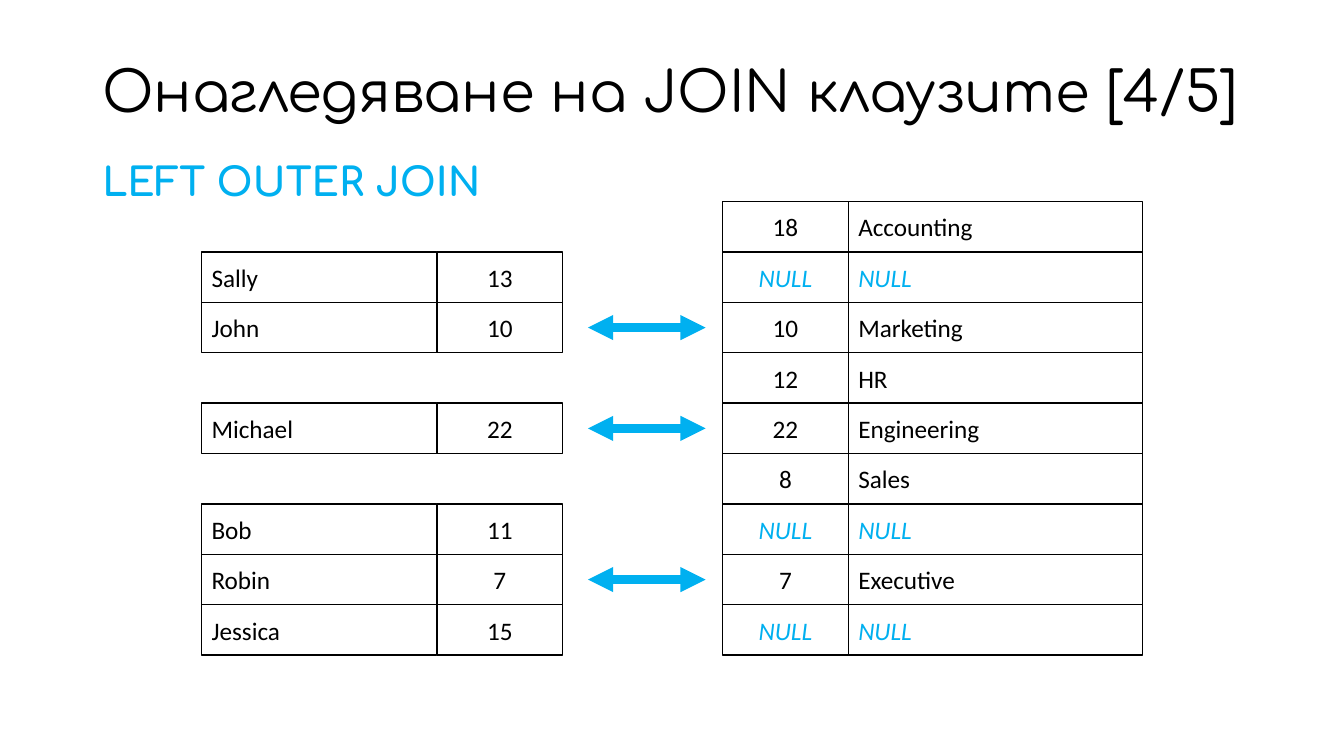
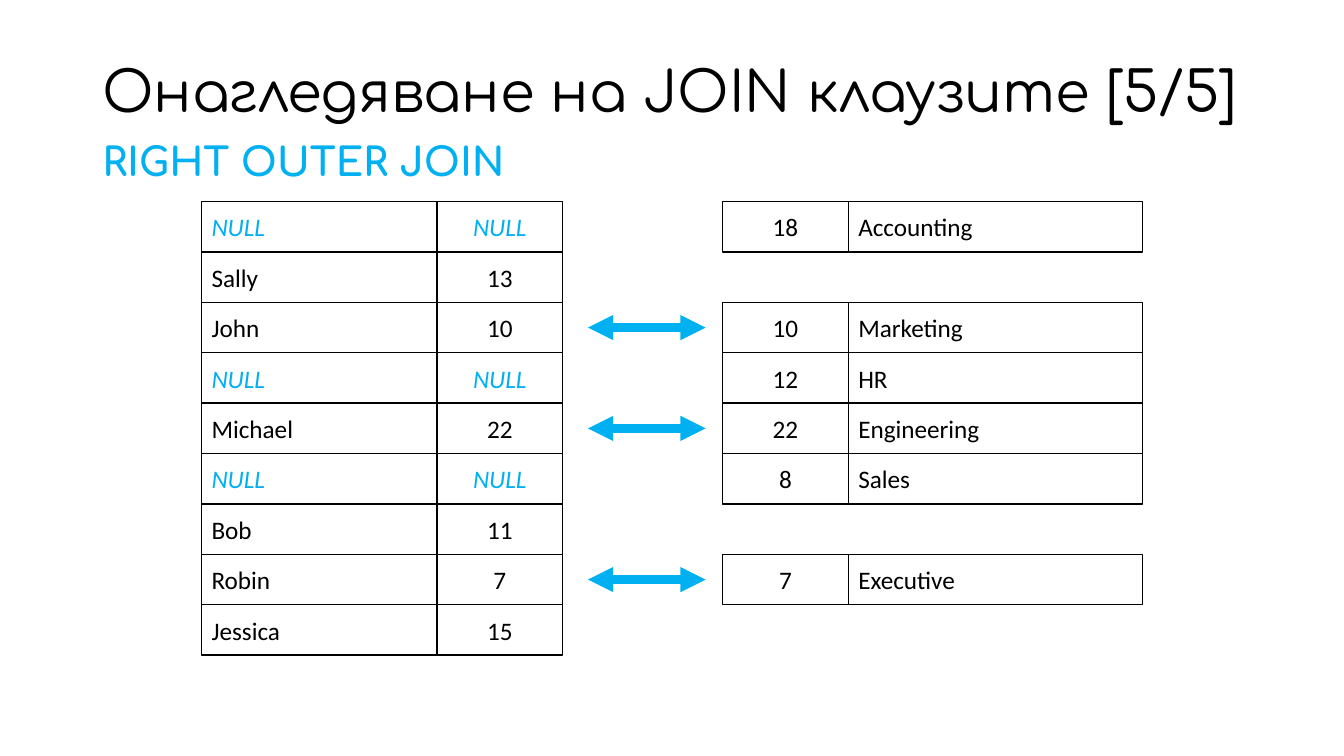
import pptx
import pptx.dml.color
import pptx.enum.shapes
import pptx.enum.text
import pptx.oxml.ns
import pptx.util
from lxml import etree

Pt = pptx.util.Pt
ALIGN = pptx.enum.text.PP_ALIGN
ANCHOR = pptx.enum.text.MSO_ANCHOR

COLORS = {"text": "000000", "accent": "00B0F0"}
HEADING_FONT = "Comfortaa"
CELL_FONT = "Calibri"

ROWS_TOP = 144
ROW_HEIGHT = 36
# Left edge, width and alignment of each column
EMPLOYEE_COLUMNS = [(144, 168, ALIGN.LEFT), (312, 90, ALIGN.CENTER)]
DEPARTMENT_COLUMNS = [(516, 90, ALIGN.CENTER), (606, 210, ALIGN.LEFT)]
ARROW_LEFT, ARROW_RIGHT = 420, 504

NULLS = ("NULL", "NULL")
# Employee and department that share a row; None where there is no match
MATCHES = [
    (None, ("18", "Accounting")),
    (("Sally", "13"), None),
    (("John", "10"), ("10", "Marketing")),
    (None, ("12", "HR")),
    (("Michael", "22"), ("22", "Engineering")),
    (None, ("8", "Sales")),
    (("Bob", "11"), None),
    (("Robin", "7"), ("7", "Executive")),
    (("Jessica", "15"), None),
]


def rgb(color):
    return pptx.dml.color.RGBColor.from_string(COLORS[color])


def add_run(paragraph, text, font_name, size, color, bold=False, italic=False):
    run = paragraph.add_run()
    run.text = text
    font = run.font
    font.name, font.size = font_name, Pt(size)
    font.bold, font.italic = bold, italic
    font.color.rgb = rgb(color)


def add_heading(slide, text, top, width, height, size, color, anchor, bold=False):
    box = slide.shapes.add_textbox(Pt(66), Pt(top), Pt(width), Pt(height))
    frame = box.text_frame
    frame.word_wrap = True
    frame.vertical_anchor = anchor
    paragraph = frame.paragraphs[0]
    paragraph.line_spacing = 0.9
    add_run(paragraph, text, HEADING_FONT, size, color, bold)


def add_cell(slide, text, left, top, width, align):
    cell = slide.shapes.add_shape(
        pptx.enum.shapes.MSO_SHAPE.RECTANGLE,
        Pt(left), Pt(top), Pt(width), Pt(ROW_HEIGHT))
    cell.shadow.inherit = False
    cell.fill.background()
    cell.line.color.rgb = rgb("text")
    cell.line.width = Pt(1)
    cell.text_frame.vertical_anchor = ANCHOR.MIDDLE
    paragraph = cell.text_frame.paragraphs[0]
    paragraph.alignment = align
    is_null = text == "NULL"
    add_run(paragraph, text, CELL_FONT, 18,
            "accent" if is_null else "text", italic=is_null)


def add_record(slide, values, columns, top):
    for text, (left, width, align) in zip(values, columns):
        add_cell(slide, text, left, top, width, align)


def add_match_arrow(slide, y):
    arrow = slide.shapes.add_connector(
        pptx.enum.shapes.MSO_CONNECTOR.STRAIGHT,
        Pt(ARROW_LEFT), Pt(y), Pt(ARROW_RIGHT), Pt(y))
    arrow.line.color.rgb = rgb("accent")
    arrow.line.width = Pt(6)
    line = arrow.line._get_or_add_ln()
    qn = pptx.oxml.ns.qn
    for end in ("a:headEnd", "a:tailEnd"):
        etree.SubElement(line, qn(end), type="triangle")
    etree.SubElement(arrow._element.spPr, qn("a:effectLst"))


def add_join_slide(deck, number, join_name, join_top, kept_side):
    """Show an outer join; kept_side is 0 for employees, 1 for departments."""
    slide = deck.slides.add_slide(deck.slide_layouts[6])
    add_heading(slide, f"Онагледяване на JOIN клаузите [{number}/5]",
                28.8, 839.5, 77, 40, "text", ANCHOR.MIDDLE)
    add_heading(slide, join_name, join_top, 828, 40, 28, "accent",
                ANCHOR.TOP, bold=True)
    for index, match in enumerate(MATCHES):
        top = ROWS_TOP + index * ROW_HEIGHT
        filler = NULLS if match[kept_side] else ()
        for values, columns in zip(match, (EMPLOYEE_COLUMNS, DEPARTMENT_COLUMNS)):
            add_record(slide, values or filler, columns, top)
        if all(match):
            add_match_arrow(slide, top + ROW_HEIGHT / 2)


def main():
    deck = pptx.Presentation()
    deck.slide_width, deck.slide_height = Pt(960), Pt(540)
    add_join_slide(deck, 4, "LEFT OUTER JOIN", 112.5, kept_side=0)
    add_join_slide(deck, 5, "RIGHT OUTER JOIN", 98.5, kept_side=1)
    deck.save("out.pptx")


if __name__ == "__main__":
    main()
